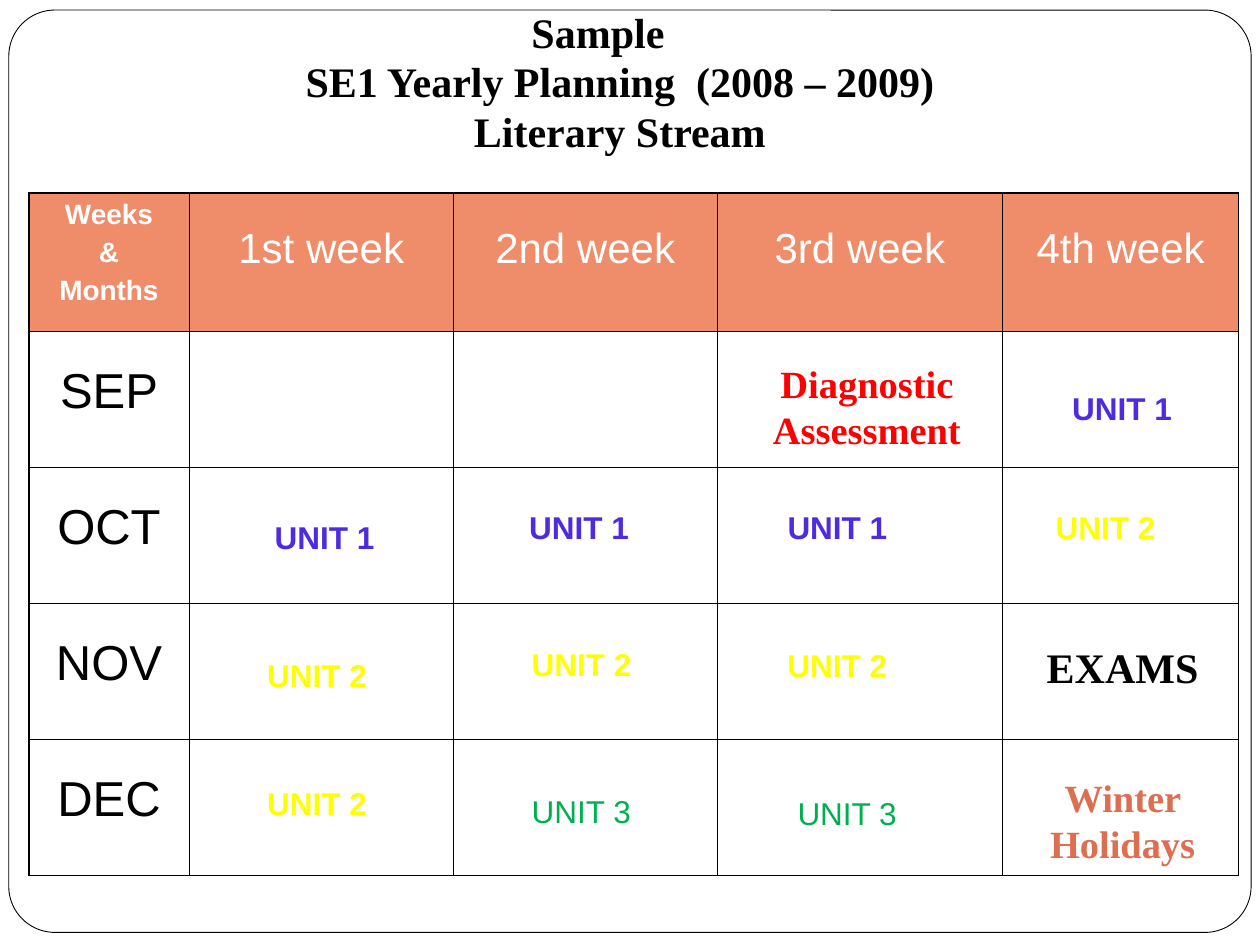
from lxml import etree
from pptx import Presentation
from pptx import util as u
from pptx.dml.color import RGBColor
from pptx.enum import shapes, text
from pptx.oxml.ns import qn

BLACK = RGBColor(0x00, 0x00, 0x00)
WHITE = RGBColor(0xFF, 0xFF, 0xFF)
CORAL = RGBColor(0xEF, 0x8C, 0x6A)
RED = RGBColor(0xFF, 0x00, 0x00)
RUST = RGBColor(0xDD, 0x6F, 0x51)
VIOLET = RGBColor(0x4E, 0x2B, 0xE1)
YELLOW = RGBColor(0xFF, 0xFF, 0x00)
GREEN = RGBColor(0x00, 0xB0, 0x50)

SANS, SERIF = "Arial", "Times New Roman"
THIN, THICK = 0.45, 1.08

TITLE = ["SE1 Yearly Planning  (2008 – 2009)", "Literary Stream"]
CORNER = ["Weeks", "&", "Months"]
WEEKS = ["1st week", "2nd week", "3rd week", "4th week"]
MONTHS = ["SEP", "OCT", "NOV", "DEC"]

TABLE_LEFT, TABLE_TOP = 0.23, 1.53
COLUMNS = [1.27, 2.1, 2.09, 2.27, 1.87]
ROWS = [1.1] + [1.08] * len(MONTHS)

# month, week, wording, colour, offset in cell, width, left inset
UNITS = [
    ("SEP", 4, "UNIT 1", VIOLET, (0.24, 0.41), 1.48, 0.31),
    ("OCT", 1, "UNIT 1", VIOLET, (0.3, 0.35), 1.41, 0.38),
    ("OCT", 2, "UNIT 1", VIOLET, (0.15, 0.27), 1.56, 0.45),
    ("OCT", 3, "UNIT 1", VIOLET, (0.25, 0.27), 1.72, 0.31),
    ("OCT", 4, "UNIT 2", YELLOW, (0.32, 0.27), 1.25, 0.1),
    ("NOV", 1, "UNIT 2", YELLOW, (0.45, 0.37), 1.25, 0.17),
    ("NOV", 2, "UNIT 2", YELLOW, (0.38, 0.28), 1.56, 0.24),
    ("NOV", 3, "UNIT 2", YELLOW, (0.25, 0.29), 1.56, 0.31),
    ("DEC", 1, "UNIT 2", YELLOW, (0.38, 0.3), 1.48, 0.24),
    ("DEC", 2, "UNIT 3", GREEN, (0.31, 0.37), 1.41, 0.31),
    ("DEC", 3, "UNIT 3", GREEN, (0.33, 0.38), 1.56, 0.31),
]
EVENTS = [
    ("SEP", 3, "Diagnostic Assessment", RED, (0.25, 0.18), (1.88, 1.2), 22),
    ("NOV", 4, "EXAMS", BLACK, (0.17, 0.25), (1.56, 0.5), 24),
    ("DEC", 4, "Winter Holidays", RUST, (0.17, 0.22), (1.56, 0.84), 22),
]


def write(frame, lines, size, face, color, bold, align=text.PP_ALIGN.CENTER, gap=0):
    for index, line in enumerate(lines):
        para = frame.paragraphs[0] if index == 0 else frame.add_paragraph()
        para.text = line
        para.alignment = align
        if index and gap:
            para.space_before = u.Pt(gap)
        font = para.font
        font.size, font.name, font.bold = u.Pt(size), face, bold
        font.color.rgb = color


def add_label(page, place, extent, lines, *style, inset=0.1, **layout):
    box = page.shapes.add_textbox(*map(u.Inches, (*place, *extent)))
    box.text_frame.word_wrap = True
    box.text_frame.margin_left = u.Inches(inset)
    write(box.text_frame, lines, *style, **layout)


def cell_place(month, week, offset):
    row = MONTHS.index(month) + 1
    return (TABLE_LEFT + sum(COLUMNS[:week]) + offset[0],
            TABLE_TOP + sum(ROWS[:row]) + offset[1])


def set_borders(cell, row, column):
    outer = {"a:lnL": column == 0, "a:lnR": column == len(COLUMNS) - 1,
             "a:lnT": row == 0, "a:lnB": row == len(ROWS) - 1}
    properties = cell._tc.get_or_add_tcPr()
    for index, (tag, is_outer) in enumerate(outer.items()):
        width = u.Pt(THICK if is_outer else THIN)
        line = etree.Element(qn(tag), w=str(int(width)))
        fill = etree.SubElement(line, qn("a:solidFill"))
        etree.SubElement(fill, qn("a:srgbClr"), val=str(BLACK))
        properties.insert(index, line)


def add_frame(page):
    frame = page.shapes.add_shape(
        shapes.MSO_SHAPE.ROUNDED_RECTANGLE,
        *map(u.Inches, (0.07, 0.08, 9.86, 7.32)))
    frame.adjustments[0] = 0.05
    frame.shadow.inherit = False
    frame.fill.solid()
    frame.fill.fore_color.rgb = WHITE
    frame.line.color.rgb = BLACK
    frame.line.width = u.Pt(0.5)
    frame.element.getparent().insert(2, frame.element)


def add_title(page):
    title = page.shapes.title
    title.left, title.top, title.width, title.height = map(
        u.Inches, (1.09, 0.39, 7.66, 0.9))
    title.text_frame.auto_size = text.MSO_AUTO_SIZE.NONE
    title.text_frame.vertical_anchor = text.MSO_ANCHOR.TOP
    write(title.text_frame, TITLE, 24, SERIF, BLACK, True)
    add_label(page, (3.67, 0), (1.87, 0.5), ["Sample"],
              24, SERIF, BLACK, True, inset=0.38)


def add_calendar(page):
    table = page.shapes.add_table(
        len(ROWS), len(COLUMNS),
        *map(u.Inches, (TABLE_LEFT, TABLE_TOP, sum(COLUMNS), sum(ROWS)))).table
    table.first_row = table.horz_banding = False
    for column, width in zip(table.columns, COLUMNS):
        column.width = u.Inches(width)
    for row, height in zip(table.rows, ROWS):
        row.height = u.Inches(height)
    for row in range(len(ROWS)):
        for column in range(len(COLUMNS)):
            cell = table.cell(row, column)
            if row == 0:
                cell.fill.solid()
                cell.fill.fore_color.rgb = CORAL
            else:
                cell.fill.background()
            set_borders(cell, row, column)
    write(table.cell(0, 0).text_frame, CORNER, 16, SANS, WHITE, True, gap=4)
    headings = [(0, i, week, 24, WHITE) for i, week in enumerate(WEEKS, 1)]
    headings += [(i, 0, month, 28, BLACK) for i, month in enumerate(MONTHS, 1)]
    for row, column, wording, size, color in headings:
        cell = table.cell(row, column)
        cell.margin_top = u.Inches(0.26)
        write(cell.text_frame, [wording], size, SANS, color, False)


def main():
    deck = Presentation()
    deck.slide_width, deck.slide_height = u.Inches(10), u.Inches(7.5)
    page = deck.slides.add_slide(deck.slide_layouts[5])
    add_frame(page)
    add_title(page)
    add_calendar(page)
    for month, week, wording, color, offset, extent, size in EVENTS:
        add_label(page, cell_place(month, week, offset), extent, [wording],
                  size, SERIF, color, True)
    for month, week, wording, color, offset, width, inset in UNITS:
        add_label(page, cell_place(month, week, offset), (width, 0.7), [wording],
                  18, SANS, color, color != GREEN,
                  inset=inset, align=text.PP_ALIGN.LEFT)
    deck.save("out.pptx")


if __name__ == "__main__":
    main()
